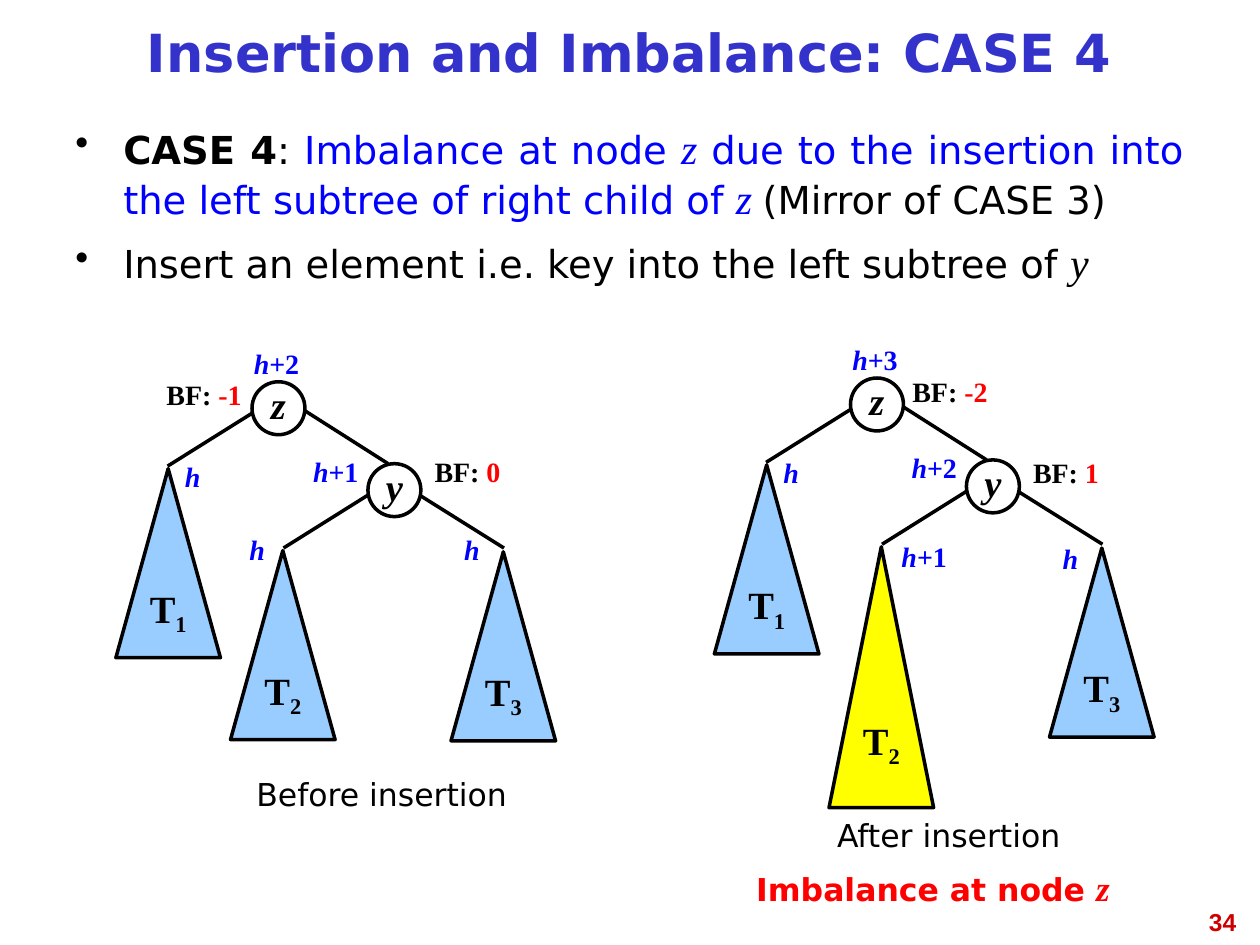
from lxml import etree
from pptx import Presentation
from pptx import util as u
from pptx.dml.color import RGBColor
from pptx.enum import shapes, text
from pptx.oxml.ns import qn

THEME = {
    "sans": "DejaVu Sans", "serif": "Times New Roman", "number": "Arial",
    "black": "000000", "blue": "0000FF", "red": "FF0000", "title": "3333CC",
    "page": "CC0000", "subtree": "99CCFF", "grown": "FFFF00",
    "line": 2, "tight": 0.81,
}


def style(size, color="black", font="sans", bold=False, italic=False):
    return {"size": u.Pt(size), "name": THEME[font], "bold": bold,
            "italic": italic, "color": THEME[color]}


STYLES = {
    "title": style(30, "title", bold=True),
    "body": style(22),
    "strong": style(22, bold=True),
    "accent": style(22, "blue"),
    "accent var": style(24, "blue", "serif", italic=True),
    "node": style(22, font="serif", bold=True, italic=True),
    "subtree": style(22, font="serif", bold=True),
    "height": style(16, "blue", "serif", bold=True, italic=True),
    "height number": style(16, "blue", "serif", bold=True),
    "factor": style(16, font="serif", bold=True),
    "factor value": style(16, "red", "serif", bold=True),
    "caption": style(18),
    "alert": style(18, "red", bold=True),
    "alert var": style(20, "red", "serif", italic=True, bold=True),
    "page": style(14, "page", "number", bold=True),
}
STYLES["body var"] = {**STYLES["accent var"], "color": THEME["black"]}
STYLES["subscript"] = {**STYLES["subtree"], "baseline": -25000}

# Content: text with style, then place (left, top, width, height)
TITLE = [("Insertion and Imbalance: CASE 4", "title")]
BULLETS = [
    [("CASE 4", "strong"), (": ", "body"),
     ("Imbalance at node ", "accent"), ("z", "accent var"),
     (" due to the insertion into the left subtree of right child of ", "accent"),
     ("z ", "accent var"), ("(Mirror of CASE 3)", "body")],
    [("Insert an element i.e. key into the left subtree of ", "body"),
     ("y", "body var")],
]
CAPTIONS = [
    ([("Before insertion", "caption")], (1.56, 6.1, 2.94, 0.4)),
    ([("After insertion", "caption")], (6.06, 6.43, 2.94, 0.4)),
    ([("Imbalance at node ", "alert"), ("z", "alert var")],
     (5.31, 6.83, 4.19, 0.44)),
]

# Both trees share one layout, measured from the corner of node z
NODE = 0.42
SUBTREE_WIDTH = 0.83
NODES = [("z", 0, 0), ("y", 0.92, 0.65)]
EDGES = [(0.42, 0.23, 1.08, 0.65), (0, 0.25, -0.67, 0.67),
         (1.33, 0.9, 2, 1.32), (0.92, 0.9, 0.25, 1.32)]
SUBTREES = [("1", -1.08, 0.69), ("2", -0.17, 1.34), ("3", 1.58, 1.35)]

# Labels: text, left, top, width
TREES = [
    {"origin": (2, 3.03), "tall": {},
     "heights": [("+2", -0.22, -0.33, 0.83), ("+1", 0.25, 0.53, 0.83),
                 ("", -0.97, 0.57, 1), ("", -0.25, 1.15, 0.58),
                 ("", 1.33, 1.15, 0.83)],
     "factors": [("-1", -0.92, -0.08, 1.08), ("0", 1.17, 0.53, 1.08)]},
    {"origin": (6.75, 3), "tall": {"2": 2.07},
     "heights": [("+3", -0.22, -0.33, 0.83), ("+2", 0.25, 0.53, 0.83),
                 ("", -0.97, 0.57, 1), ("+1", 0.17, 1.23, 0.83),
                 ("", 1.33, 1.25, 0.83)],
     "factors": [("-2", 0.25, -0.08, 1.08), ("1", 1.17, 0.57, 1.08)]},
]


def inches(values):
    return [u.Inches(value) for value in values]


def write(para, spans, align="CENTER", spacing=None):
    para.alignment = getattr(text.PP_ALIGN, align)
    if spacing:
        para.line_spacing = spacing
    for words, name in spans:
        span = para.add_run()
        span.text = words
        for key, value in STYLES[name].items():
            if key == "color":
                span.font.color.rgb = RGBColor.from_string(value)
            elif key == "baseline":
                span.font._element.set("baseline", str(value))
            else:
                setattr(span.font, key, value)


def add_text(parent, spans, place, align="CENTER", spacing=None):
    box = parent.add_textbox(*inches(place))
    box.text_frame.word_wrap = True
    write(box.text_frame.paragraphs[0], spans, align, spacing)
    return box


def add_outlined(parent, kind, place, spans, fill=None):
    shape = parent.add_shape(kind, *inches(place))
    shape.shadow.inherit = False
    if fill:
        shape.fill.solid()
        shape.fill.fore_color.rgb = RGBColor.from_string(THEME[fill])
    else:
        shape.fill.background()
    ink(shape.line)
    frame = shape.text_frame
    frame.word_wrap = False
    frame.vertical_anchor = text.MSO_ANCHOR.MIDDLE
    write(frame.paragraphs[0], spans, spacing=THEME["tight"])


def ink(line):
    line.width = u.Pt(THEME["line"])
    line.color.rgb = RGBColor.from_string(THEME["black"])


def add_tree(page, tree):
    parent = page.shapes.add_group_shape().shapes
    x, y = tree["origin"]
    for x1, y1, x2, y2 in EDGES:
        edge = parent.add_connector(shapes.MSO_CONNECTOR.STRAIGHT,
                                    *inches((x + x1, y + y1, x + x2, y + y2)))
        ink(edge.line)
        etree.SubElement(edge._element.spPr, qn("a:effectLst"))
    for name, left, top in NODES:
        add_outlined(parent, shapes.MSO_SHAPE.OVAL,
                     (x + left, y + top, NODE, NODE), [(name, "node")])
    for number, left, top in SUBTREES:
        grown = number in tree["tall"]
        add_outlined(parent, shapes.MSO_SHAPE.ISOSCELES_TRIANGLE,
                     (x + left, y + top, SUBTREE_WIDTH,
                      tree["tall"].get(number, 1.5)),
                     [("T", "subtree"), (number, "subscript")],
                     "grown" if grown else "subtree")
    # Heights and balance factors
    labels = [([("h", "height")] + ([(more, "height number")] if more else []), place)
              for more, *place in tree["heights"]]
    labels += [([("BF: ", "factor"), (value, "factor value")], place)
               for value, *place in tree["factors"]]
    for spans, (left, top, width) in labels:
        add_text(parent, spans, (x + left, y + top, width, 0.37))


def add_bullets(page):
    box = page.shapes.add_textbox(*inches((0.5, 0.92, 8.99, 1.67)))
    frame = box.text_frame
    frame.word_wrap = True
    for index, spans in enumerate(BULLETS):
        para = frame.add_paragraph() if index else frame.paragraphs[0]
        properties = para._p.get_or_add_pPr()
        properties.set("marL", str(u.Inches(0.38)))
        properties.set("indent", str(-u.Inches(0.38)))
        color = etree.SubElement(properties, qn("a:buClr"))
        etree.SubElement(color, qn("a:srgbClr"), val=THEME["black"])
        etree.SubElement(properties, qn("a:buChar"), char="•")
        if index:
            para.space_before = u.Pt(8)
        write(para, spans, "JUSTIFY")


def main():
    deck = Presentation()
    deck.slide_width, deck.slide_height = inches((10, 7.5))
    page = deck.slides.add_slide(deck.slide_layouts[6])
    # Heading and bullets
    title = add_text(page.shapes, TITLE, (0.5, 0.08, 8.99, 0.75),
                     spacing=THEME["tight"])
    title.text_frame.vertical_anchor = text.MSO_ANCHOR.MIDDLE
    add_bullets(page)
    # Trees, captions and page number
    for tree in TREES:
        add_tree(page, tree)
    for spans, place in CAPTIONS:
        add_text(page.shapes, spans, place)
    add_text(page.shapes, [("34", "page")], (7.58, 7.15, 2.33, 0.52), "RIGHT")
    deck.save("out.pptx")


if __name__ == "__main__":
    main()
